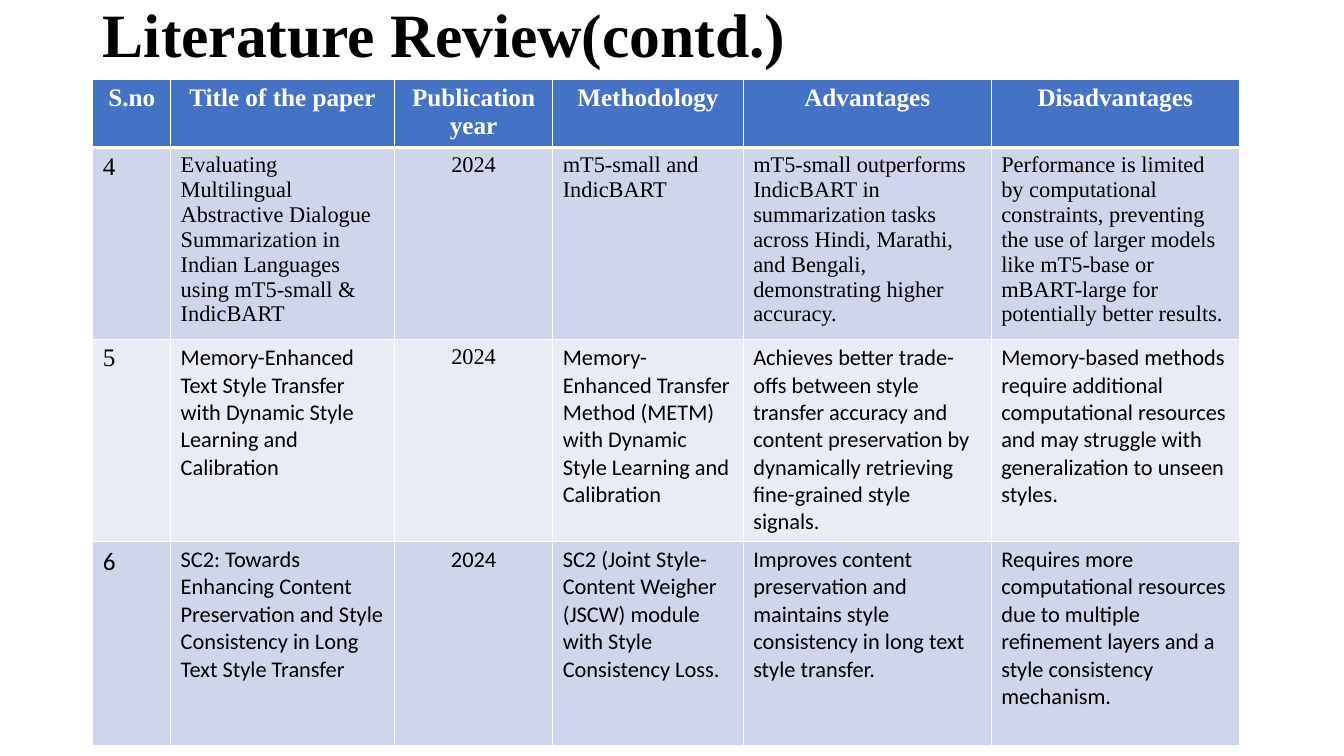
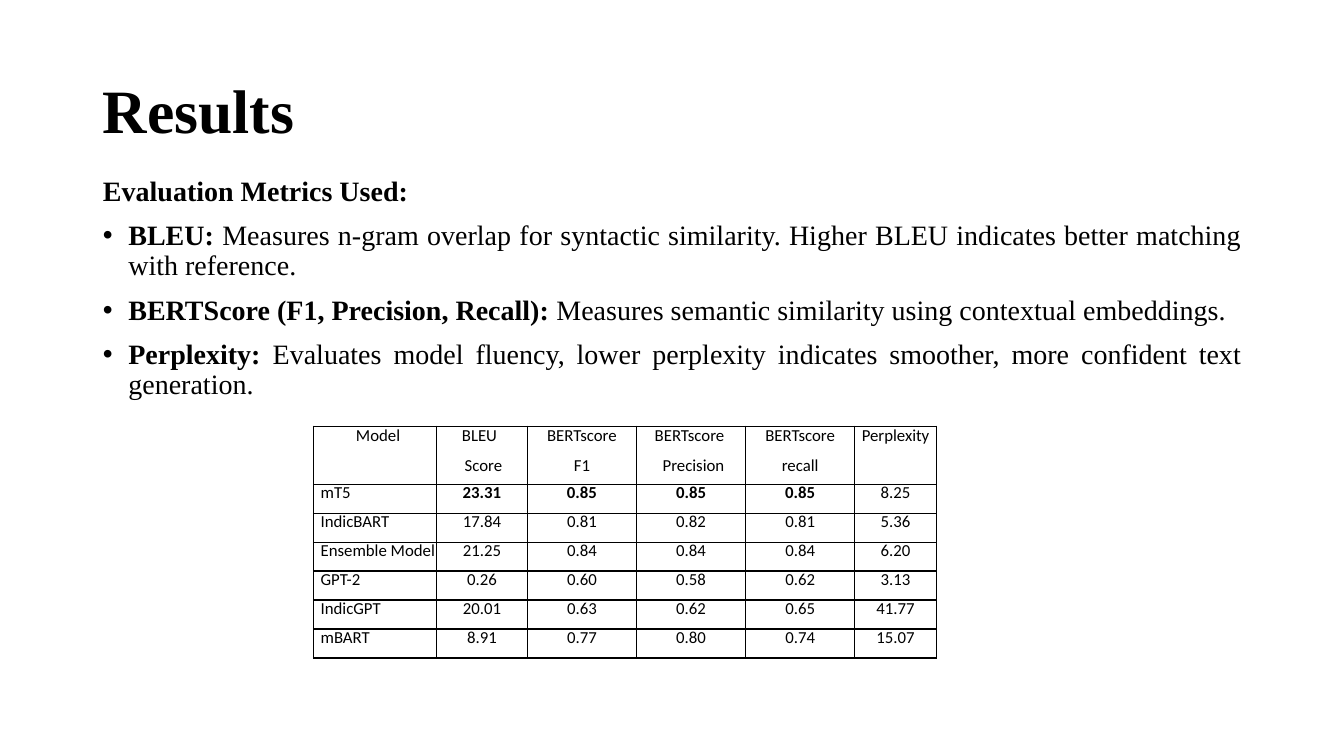
from lxml.etree import SubElement
from pptx import Presentation
from pptx.dml.color import RGBColor
from pptx.enum.text import MSO_ANCHOR, MSO_AUTO_SIZE, PP_ALIGN
from pptx.oxml.ns import qn
from pptx.util import Cm, Pt

BLACK = RGBColor(0x00, 0x00, 0x00)
WHITE = RGBColor(0xFF, 0xFF, 0xFF)
HEADER_BLUE = RGBColor(0x44, 0x72, 0xC4)
BAND_DARK = RGBColor(0xCF, 0xD5, 0xEA)
BAND_LIGHT = RGBColor(0xE9, 0xEB, 0xF5)
SERIF = "Times New Roman"
SANS = "Calibri"
LEFT_MARGIN = 2.34
CONTENT_WIDTH = 29.21
TITLE_ONLY = 5
TITLE_AND_BODY = 1

PAPER_HEADINGS = [
    "S.no", "Title of the paper", "Publication year",
    "Methodology", "Advantages", "Disadvantages",
]
YEAR_COLUMN = PAPER_HEADINGS.index("Publication year")
PAPERS = [
    ["4",
     "Evaluating Multilingual Abstractive Dialogue Summarization in Indian Languages using mT5-small & IndicBART",
     "2024",
     "mT5-small and IndicBART",
     "mT5-small outperforms IndicBART in summarization tasks across Hindi, Marathi, and Bengali, demonstrating higher accuracy.",
     "Performance is limited by computational constraints, preventing the use of larger models like mT5-base or mBART-large for potentially better results."],
    ["5",
     "Memory-Enhanced Text Style Transfer with Dynamic Style Learning and Calibration",
     "2024",
     "Memory-Enhanced Transfer Method (METM) with Dynamic Style Learning and Calibration",
     "Achieves better trade-offs between style transfer accuracy and content preservation by dynamically retrieving fine-grained style signals.",
     "Memory-based methods require additional computational resources and may struggle with generalization to unseen styles."],
    ["6",
     "SC2: Towards Enhancing Content Preservation and Style Consistency in Long Text Style Transfer",
     "2024",
     "SC2 (Joint Style-Content Weigher (JSCW) module with Style Consistency Loss.",
     "Improves content preservation and maintains style consistency in long text style transfer.",
     "Requires more computational resources due to multiple refinement layers and a style consistency mechanism."],
]
SERIF_COLUMNS = [range(len(PAPER_HEADINGS)), (0, YEAR_COLUMN), ()]

METRICS = [
    ("BLEU:", " Measures n-gram overlap for syntactic similarity. Higher BLEU indicates better matching with reference."),
    ("BERTScore (F1, Precision, Recall):", " Measures semantic similarity using contextual embeddings."),
    ("Perplexity:", " Evaluates model fluency, lower perplexity indicates smoother, more confident text generation."),
]
SCORE_HEADINGS = [
    [("Model", 1.07)],
    [("BLEU", 0.64), ("Score", 0.71)],
    [("BERTscore", None), ("F1", None)],
    [("BERTscore", 0.46), ("Precision", 0.66)],
    [("BERTscore", None), ("recall", None)],
    [("Perplexity", None)],
]
SCORES = [
    ["mT5", "23.31", "0.85", "0.85", "0.85", "8.25"],
    ["IndicBART", "17.84", "0.81", "0.82", "0.81", "5.36"],
    ["Ensemble Model", "21.25", "0.84", "0.84", "0.84", "6.20"],
    ["GPT-2", "0.26", "0.60", "0.58", "0.62", "3.13"],
    ["IndicGPT", "20.01", "0.63", "0.62", "0.65", "41.77"],
    ["mBART", "8.91", "0.77", "0.80", "0.74", "15.07"],
]
BEST_SCORES = {(0, column) for column in range(1, 5)}


def place(part, left, top, width, height):
    part.left, part.top, part.width, part.height = Cm(left), Cm(top), Cm(width), Cm(height)


def set_font(paragraph, size, name, color=BLACK, bold=None):
    font = paragraph.font
    font.size, font.name, font.bold = Pt(size), name, bold
    font.color.rgb = color


def set_title(slide, text, top, width, height):
    title = slide.shapes.title
    place(title, LEFT_MARGIN, top, width, height)
    frame = title.text_frame
    frame.auto_size = MSO_AUTO_SIZE.NONE
    frame.vertical_anchor = MSO_ANCHOR.MIDDLE
    frame.text = text
    heading = frame.paragraphs[0]
    heading.alignment = PP_ALIGN.LEFT
    heading.line_spacing = 0.9
    set_font(heading, 44, SERIF, bold=True)


def add_metric(paragraph, term, meaning=""):
    paragraph.alignment = PP_ALIGN.JUSTIFY
    paragraph.line_spacing = 0.9
    paragraph.space_before = Pt(10)
    properties = paragraph._p.get_or_add_pPr()
    properties.set("marL", str(Cm(0.64)))
    properties.set("indent", str(Cm(-0.64)))
    if meaning:
        SubElement(properties, qn("a:buFont"), typeface="Arial")
        SubElement(properties, qn("a:buChar"), char="•")
    else:
        SubElement(properties, qn("a:buNone"))
    set_font(paragraph, 20, SERIF)
    for text, bold in ((term, True), (meaning, False)):
        if text:
            run = paragraph.add_run()
            run.text = text
            run.font.bold = bold


def add_grid(slide, left, top, widths, heights):
    frame = slide.shapes.add_table(
        len(heights), len(widths), Cm(left), Cm(top), Cm(sum(widths)), Cm(sum(heights)))
    table = frame.table
    table.first_row = table.horz_banding = False
    for column, width in zip(table.columns, widths):
        column.width = Cm(width)
    for row, height in zip(table.rows, heights):
        row.height = Cm(height)
    return table


def set_borders(cell, color, top=1, bottom=1):
    properties = cell._tc.get_or_add_tcPr()
    for side, points in (("L", 1), ("R", 1), ("T", top), ("B", bottom)):
        line = SubElement(properties, qn(f"a:ln{side}"), w=str(Pt(points)))
        fill = SubElement(line, qn("a:solidFill"))
        SubElement(fill, qn("a:srgbClr"), val=str(color))


def fill_paper_cell(cell, text, fill, size, name, color=BLACK, bold=False,
                    centered=False, top=1, bottom=1):
    set_borders(cell, WHITE, top, bottom)
    cell.fill.solid()
    cell.fill.fore_color.rgb = fill
    cell.text = text
    paragraph = cell.text_frame.paragraphs[0]
    paragraph.alignment = PP_ALIGN.CENTER if centered else PP_ALIGN.LEFT
    set_font(paragraph, size, name, color, bold)


def fill_score_cell(cell, lines, bold=False):
    set_borders(cell, BLACK)
    cell.fill.background()
    cell.margin_left = cell.margin_right = cell.margin_top = cell.margin_bottom = 0
    frame = cell.text_frame
    frame.text = "\n".join(text for text, _ in lines)
    for index, (paragraph, (_, indent)) in enumerate(zip(frame.paragraphs, lines)):
        if indent is None:
            paragraph.alignment = PP_ALIGN.CENTER
        else:
            paragraph.alignment = PP_ALIGN.LEFT
            paragraph._p.get_or_add_pPr().set("marL", str(Cm(indent)))
        if index:
            paragraph.space_before = Pt(6.8)
        else:
            paragraph.line_spacing = Pt(13.8)
        set_font(paragraph, 12, SANS, bold=bold)


def build_literature_review(deck):
    slide = deck.slides.add_slide(deck.slide_layouts[TITLE_ONLY])
    set_title(slide, "Literature Review(contd.)", -0.28, 27.86, 2.44)
    table = add_grid(slide, LEFT_MARGIN, 1.99,
                     [1.96, 5.64, 3.99, 4.8, 6.25, 6.25], [1.73, 4.83, 4.83, 5.16])
    for column, heading in enumerate(PAPER_HEADINGS):
        fill_paper_cell(table.cell(0, column), heading, HEADER_BLUE, 18, SERIF,
                        WHITE, bold=True, centered=True, bottom=3)
    for row, (paper, serif_columns) in enumerate(zip(PAPERS, SERIF_COLUMNS), 1):
        for column, text in enumerate(paper):
            fill_paper_cell(
                table.cell(row, column), text,
                BAND_DARK if row % 2 else BAND_LIGHT,
                16 if column else 18,
                SERIF if column in serif_columns else SANS,
                centered=column == YEAR_COLUMN,
                top=3 if row == 1 else 1)


def build_results(deck):
    slide = deck.slides.add_slide(deck.slide_layouts[TITLE_AND_BODY])
    set_title(slide, "Results", 1.02, CONTENT_WIDTH, 3.68)
    body = slide.placeholders[1]
    place(body, LEFT_MARGIN, 4.34, CONTENT_WIDTH, 12.8)
    frame = body.text_frame
    frame.auto_size = MSO_AUTO_SIZE.NONE
    add_metric(frame.paragraphs[0], "Evaluation Metrics Used:")
    for term, meaning in METRICS:
        add_metric(frame.add_paragraph(), term, meaning)

    table = add_grid(slide, 7.9, 10.74,
                     [3.1, 2.29, 2.75, 2.75, 2.75, 2.06], [1.46] + [0.73] * len(SCORES))
    for column, lines in enumerate(SCORE_HEADINGS):
        fill_score_cell(table.cell(0, column), lines)
    for row, scores in enumerate(SCORES):
        for column, text in enumerate(scores):
            indent = None if column else 0.18
            fill_score_cell(table.cell(row + 1, column), [(text, indent)],
                            bold=(row, column) in BEST_SCORES)


def main():
    deck = Presentation()
    deck.slide_width, deck.slide_height = Cm(33.87), Cm(19.05)
    build_literature_review(deck)
    build_results(deck)
    deck.save("out.pptx")


if __name__ == "__main__":
    main()
